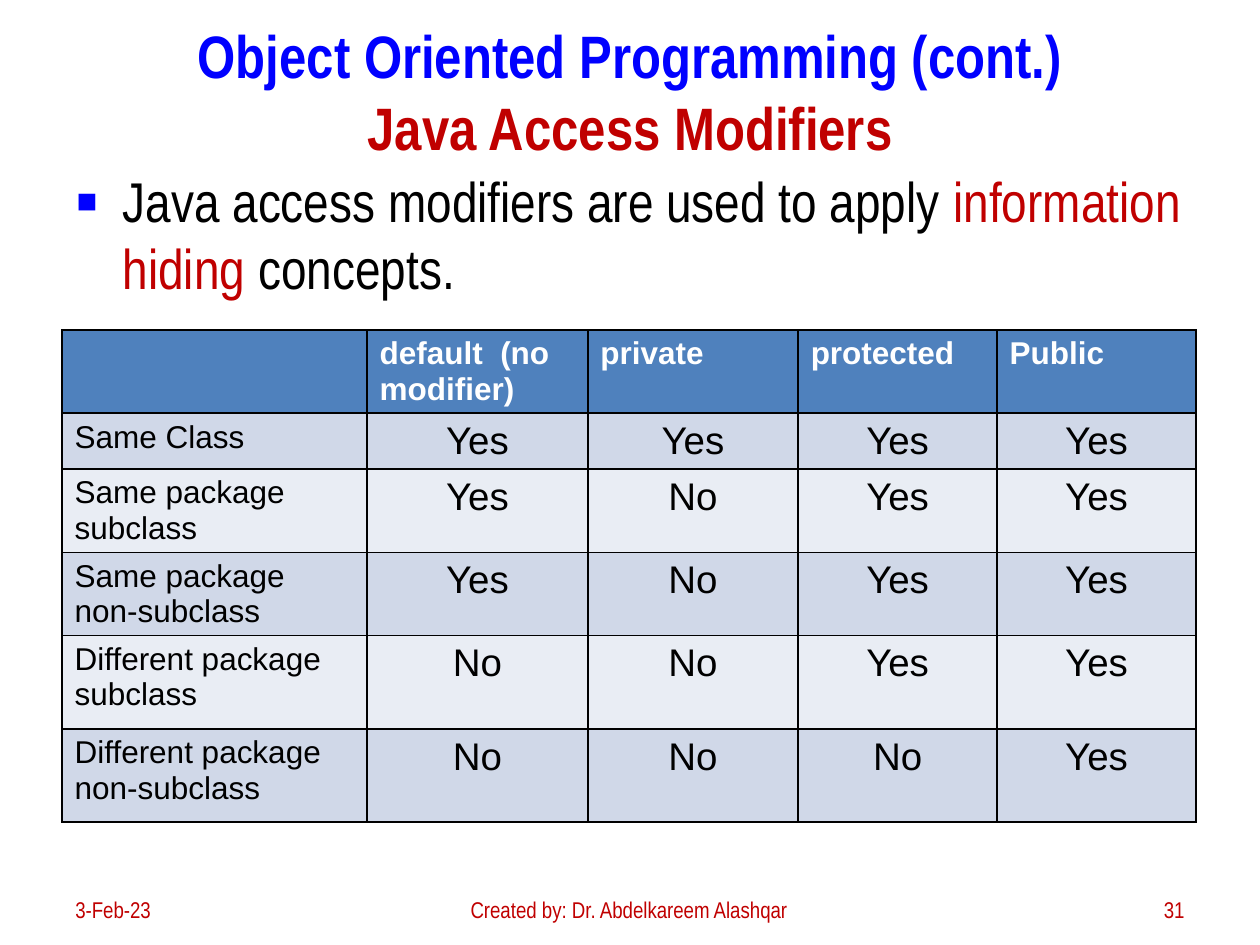
from lxml import etree
from pptx import Presentation
from pptx import util as u
from pptx.dml.color import RGBColor
from pptx.enum import text
from pptx.oxml.ns import qn

BLUE = RGBColor(0x00, 0x00, 0xFF)
RED = RGBColor(0xC0, 0x00, 0x00)
BLACK = RGBColor(0x00, 0x00, 0x00)
WHITE = RGBColor(0xFF, 0xFF, 0xFF)
HEADER_FILL = RGBColor(0x4F, 0x81, 0xBD)
BAND_FILLS = [RGBColor(0xE9, 0xED, 0xF4), RGBColor(0xD0, 0xD8, 0xE8)]
LEFT, CENTER, RIGHT = text.PP_ALIGN.LEFT, text.PP_ALIGN.CENTER, text.PP_ALIGN.RIGHT


def add_text(paragraph, words, size, color, font="Arial Narrow", bold=False, align=LEFT):
    paragraph.alignment = align
    run = paragraph.add_run()
    run.text = words
    run.font.name = font
    run.font.size = u.Pt(size)
    run.font.bold = bold
    run.font.color.rgb = color


def add_element(parent, tag, **attributes):
    return etree.SubElement(parent, qn(tag), attributes)


presentation = Presentation()
presentation.slide_width, presentation.slide_height = u.Cm(25.4), u.Cm(19.05)
slide = presentation.slides.add_slide(presentation.slide_layouts[1])

# Title
title = slide.shapes.title
title.left, title.top, title.width, title.height = u.Cm(1.27), u.Cm(0.51), u.Cm(22.86), u.Cm(2.62)
title.text_frame.auto_size = text.MSO_AUTO_SIZE.NONE
title.text_frame.vertical_anchor = text.MSO_ANCHOR.MIDDLE
paragraph = title.text_frame.paragraphs[0]
add_text(paragraph, "Object Oriented Programming (cont.)", 34.2, BLUE, bold=True, align=CENTER)
paragraph.add_line_break()
add_text(paragraph, "Java Access Modifiers", 34.2, RED, bold=True, align=CENTER)

# Bulleted statement
body = slide.placeholders[1]
body.left, body.top, body.width, body.height = u.Cm(1.27), u.Cm(3.23), u.Cm(22.86), u.Cm(14.43)
body.text_frame.auto_size = text.MSO_AUTO_SIZE.NONE
paragraph = body.text_frame.paragraphs[0]
add_text(paragraph, "Java access modifiers are used to apply ", 32, BLACK)
add_text(paragraph, "information hiding", 32, RED)
add_text(paragraph, " concepts.", 32, BLACK)
paragraph.space_before = u.Pt(6.4)
properties = paragraph._p.get_or_add_pPr()
properties.set("marL", str(u.Cm(0.95)))
properties.set("indent", str(-u.Cm(0.95)))
add_element(add_element(properties, "a:buClr"), "a:srgbClr", val=str(BLUE))
add_element(properties, "a:buSzPct", val="120000")
add_element(properties, "a:buFont", typeface="Arial")
add_element(properties, "a:buChar", char="▪")

# Access table
HEADERS = ["", "default  (no modifier)", "private", "protected", "Public"]
ACCESS = [
    ["Same Class", "Yes", "Yes", "Yes", "Yes"],
    ["Same package subclass", "Yes", "No", "Yes", "Yes"],
    ["Same package non-subclass", "Yes", "No", "Yes", "Yes"],
    ["Different package subclass", "No", "No", "Yes", "Yes"],
    ["Different package non-subclass", "No", "No", "No", "Yes"],
]
COLUMN_WIDTHS = [6.15, 4.45, 4.24, 4.01, 4.01]
ROW_HEIGHTS = [1.68, 1.12, 1.68, 1.68, 1.88, 1.88]
table = slide.shapes.add_table(
    len(ROW_HEIGHTS), len(COLUMN_WIDTHS), u.Cm(1.25), u.Cm(6.65),
    u.Cm(sum(COLUMN_WIDTHS)), u.Cm(sum(ROW_HEIGHTS))).table
for column, width in zip(table.columns, COLUMN_WIDTHS):
    column.width = u.Cm(width)
for row, height in zip(table.rows, ROW_HEIGHTS):
    row.height = u.Cm(height)

for row_index, row_words in enumerate([HEADERS] + ACCESS):
    for column_index, words in enumerate(row_words):
        cell = table.cell(row_index, column_index)
        cell_properties = cell._tc.get_or_add_tcPr()
        for side in ("a:lnL", "a:lnR", "a:lnT", "a:lnB"):
            border = add_element(cell_properties, side, w=str(u.Pt(1)))
            add_element(add_element(border, "a:solidFill"), "a:srgbClr", val=str(BLACK))
        cell.fill.solid()
        cell.fill.fore_color.rgb = BAND_FILLS[row_index % 2] if row_index else HEADER_FILL
        paragraph = cell.text_frame.paragraphs[0]
        if row_index == 0:
            if words:
                add_text(paragraph, words, 18, WHITE, font="Arial", bold=True)
        elif column_index == 0:
            add_text(paragraph, words, 18, BLACK, font="Arial")
        else:
            add_text(paragraph, words, 22, BLACK, font="Arial", align=CENTER)

# Footer
for left, width, words, align in [
    (1.27, 5.92, "3-Feb-23", LEFT),
    (8.08, 9.19, "Created by: Dr. Abdelkareem Alashqar", CENTER),
    (18.21, 5.92, "31", RIGHT),
]:
    footer = slide.shapes.add_textbox(u.Cm(left), u.Cm(17.83), u.Cm(width), u.Cm(1.02))
    footer.text_frame.word_wrap = True
    footer.text_frame.vertical_anchor = text.MSO_ANCHOR.MIDDLE
    add_text(footer.text_frame.paragraphs[0], words, 13, RED, align=align)

presentation.save("out.pptx")
